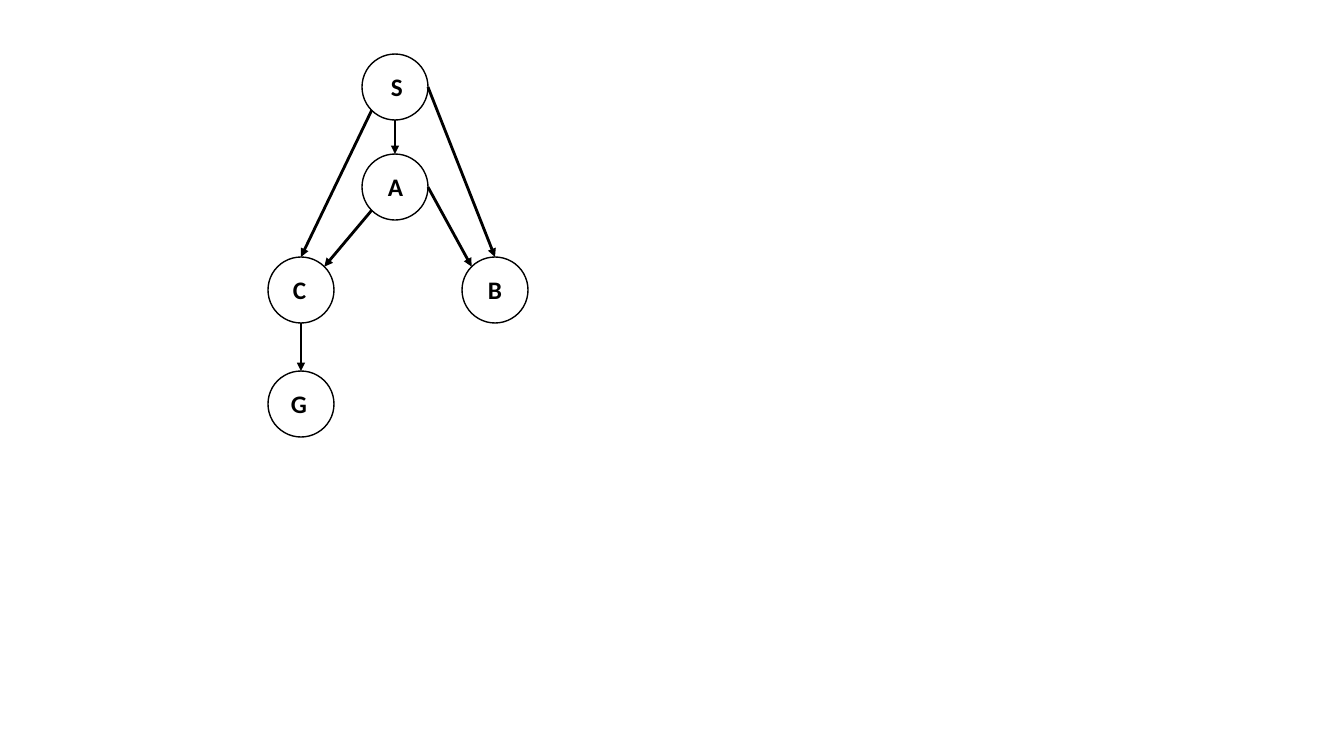
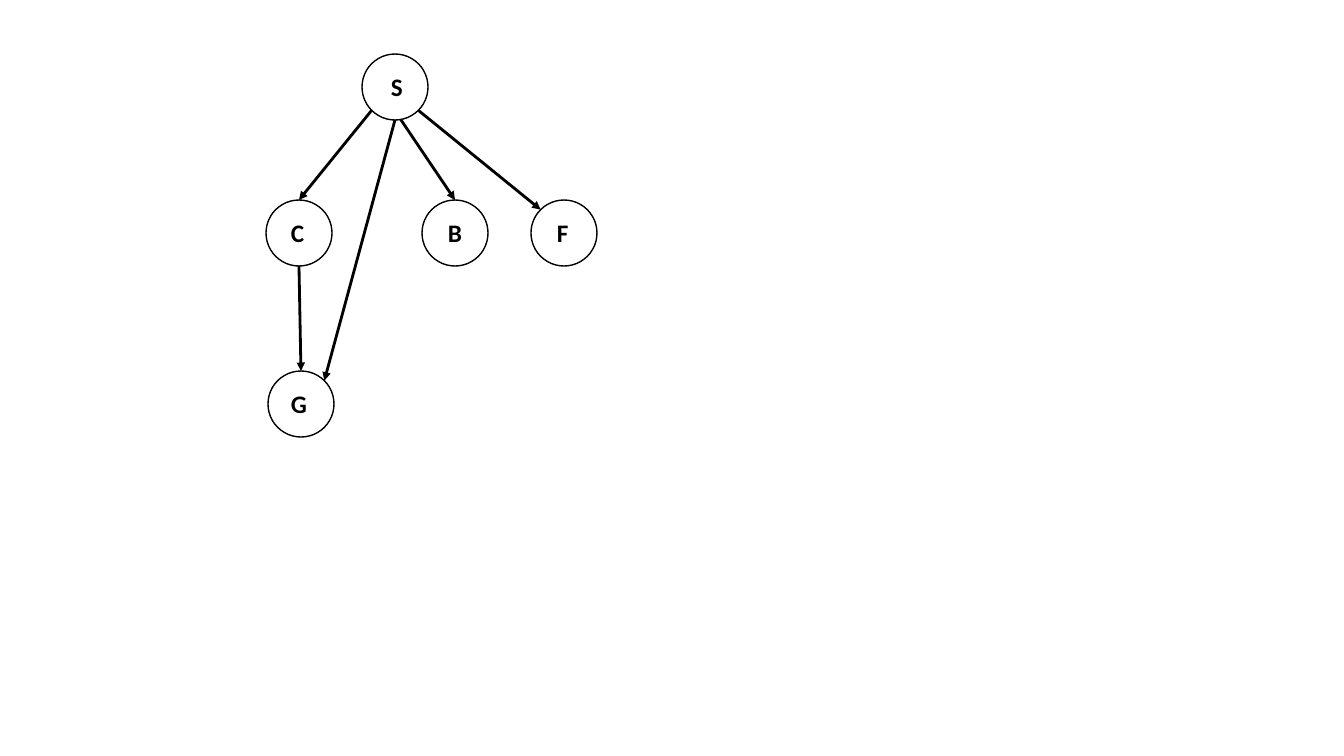
from math import cos, radians, sin

from lxml.etree import SubElement
from pptx import Presentation
from pptx.dml.color import RGBColor
from pptx.enum.shapes import MSO_CONNECTOR, MSO_SHAPE
from pptx.enum.text import MSO_AUTO_SIZE
from pptx.oxml.ns import qn
from pptx.util import Emu, Pt

SCALE = 914400 / 100.8
BLACK = RGBColor(0, 0, 0)
FONT = "Calibri"
DIAMETER = 66
LABEL_TOP = 12
LABEL_HEIGHT = 40
BLANK_LAYOUT = 6

RIGHT, LOWER_RIGHT, NEAR_BOTTOM, BOTTOM = 0, 45, 80, 90
LOWER_LEFT, UPPER_LEFT, TOP, UPPER_RIGHT = 135, 225, 270, 315

LABEL_SPANS = {
    "S": (19, 32),
    "A": (16, 35),
    "B": (16, 34),
    "C": (15, 34),
    "F": (16, 34),
    "G": (13, 36),
}

SHARED_NODES = {"S": (362, 54), "G": (268, 371)}

GRAPHS = [
    (
        {"A": (362, 154), "C": (268, 257), "B": (462, 257)},
        [
            ("S", BOTTOM, "A", TOP),
            ("S", LOWER_LEFT, "C", TOP),
            ("A", LOWER_LEFT, "C", UPPER_RIGHT),
            ("A", RIGHT, "B", UPPER_LEFT),
            ("C", BOTTOM, "G", TOP),
            ("S", RIGHT, "B", TOP),
        ],
    ),
    (
        {"C": (266, 200), "B": (422, 200), "F": (531, 200)},
        [
            ("S", BOTTOM, "G", UPPER_RIGHT),
            ("S", LOWER_LEFT, "C", TOP),
            ("S", NEAR_BOTTOM, "B", TOP),
            ("C", BOTTOM, "G", TOP),
            ("S", LOWER_RIGHT, "F", UPPER_LEFT),
        ],
    ),
]


def px(length):
    """Convert pixels to EMU."""
    return Emu(round(length * SCALE))


def rim_point(corner, angle):
    """Return the point on a node's rim at a clockwise angle from its right."""
    radius = DIAMETER / 2
    left, top = corner
    turn = radians(angle)
    return (
        px(left + radius + radius * cos(turn)),
        px(top + radius + radius * sin(turn)),
    )


def add_label(page, letter, left, top):
    """Add the bold letter of a node."""
    offset, width = LABEL_SPANS[letter]
    box = page.shapes.add_textbox(
        px(left + offset), px(top + LABEL_TOP), px(width), px(LABEL_HEIGHT)
    )
    frame = box.text_frame
    frame.word_wrap = False
    frame.auto_size = MSO_AUTO_SIZE.SHAPE_TO_FIT_TEXT
    frame.text = letter
    font = frame.paragraphs[0].runs[0].font
    font.name = FONT
    font.size = Pt(18)
    font.bold = True
    font.color.rgb = BLACK


def add_node(page, letter, left, top):
    """Add an outlined circle with its letter."""
    circle = page.shapes.add_shape(
        MSO_SHAPE.OVAL, px(left), px(top), px(DIAMETER), px(DIAMETER)
    )
    circle.shadow.inherit = False
    circle.fill.background()
    circle.line.color.rgb = BLACK
    circle.line.width = Pt(1)
    add_label(page, letter, left, top)


def add_arrow(page, start, end):
    """Add a straight arrow between two points."""
    arrow = page.shapes.add_connector(MSO_CONNECTOR.STRAIGHT, *start, *end)
    arrow.line.color.rgb = BLACK
    arrow.line.width = Pt(2)
    SubElement(arrow.line._get_or_add_ln(), qn("a:tailEnd"), type="triangle")
    SubElement(arrow._element.spPr, qn("a:effectLst"))


def add_graph(deck, nodes, edges):
    """Add a slide with a directed graph."""
    page = deck.slides.add_slide(deck.slide_layouts[BLANK_LAYOUT])
    for letter, corner in nodes.items():
        add_node(page, letter, *corner)
    for source, leave, target, arrive in edges:
        add_arrow(
            page,
            rim_point(nodes[source], leave),
            rim_point(nodes[target], arrive),
        )


def main():
    """Build and save the deck."""
    deck = Presentation()
    deck.slide_width = px(1344)
    deck.slide_height = px(756)
    for own_nodes, edges in GRAPHS:
        add_graph(deck, SHARED_NODES | own_nodes, edges)
    deck.save("out.pptx")


main()
